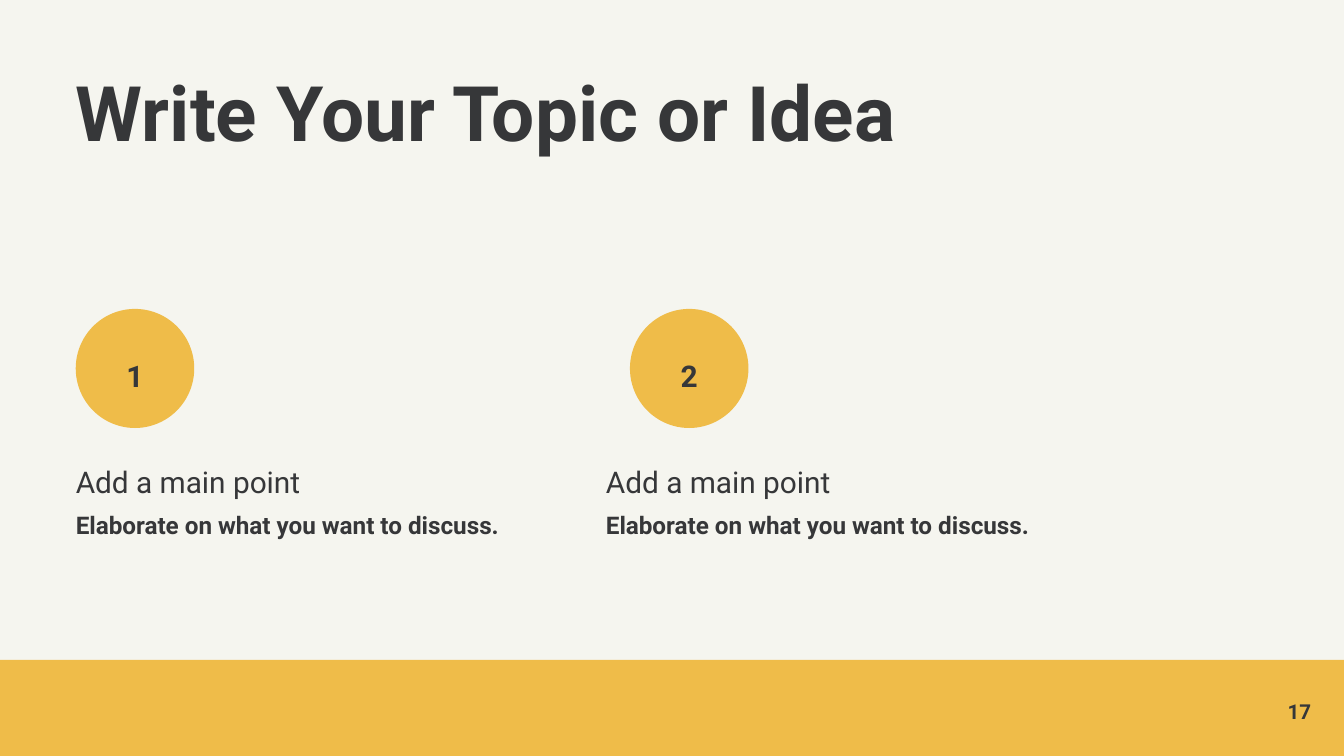
from pptx import Presentation
from pptx.dml.color import RGBColor
from pptx.enum.shapes import MSO_SHAPE as Shape
from pptx.enum.text import MSO_ANCHOR as Anchor, MSO_AUTO_SIZE as AutoSize, PP_ALIGN as Align
from pptx.util import Pt

INK, GOLD, PAPER = "363739", "EFBC49", "F5F5EF"
W, H = 720, 405
LEFT = 40.6


def color(value):
    return RGBColor.from_string(value)


def place(sp, box):
    for name, value in zip(("left", "top", "width", "height"), box):
        setattr(sp, name, Pt(value))


def write(sp, lines, align=Align.LEFT, spacing=1.0, anchor=Anchor.TOP):
    tf = sp.text_frame
    frame = dict(word_wrap=True, auto_size=AutoSize.NONE, vertical_anchor=anchor,
                 margin_left=0, margin_top=0, margin_right=0, margin_bottom=0)
    for name, value in frame.items():
        setattr(tf, name, value)
    for i, (text, size, bold) in enumerate(lines):
        p = tf.add_paragraph() if i else tf.paragraphs[0]
        for name, value in dict(alignment=align, line_spacing=spacing,
                                space_before=Pt(0), space_after=Pt(0)).items():
            setattr(p, name, value)
        r = p.add_run()
        r.text = text
        for name, value in dict(name="Roboto", size=Pt(size), bold=bold).items():
            setattr(r.font, name, value)
        r.font.color.rgb = color(INK)


def remove_bullets(tf):
    for p in tf.paragraphs:
        pPr = p._p.get_or_add_pPr()
        pPr.set("marL", "0")
        pPr.set("indent", "0")
        pPr.append(pPr.makeelement(
            "{http://schemas.openxmlformats.org/drawingml/2006/main}buNone", {}))


def add_block(s, kind, box):
    sp = s.shapes.add_shape(kind, *map(Pt, box))
    sp.shadow.inherit = False
    sp.fill.solid()
    sp.fill.fore_color.rgb = color(GOLD)
    sp.line.fill.background()


def add_title(sp, box):
    place(sp, box)
    write(sp, [("Write Your Topic or Idea", 41, True)], spacing=0.9)


def add_badge(s, box, number):
    x, y, w, h = box
    add_block(s, Shape.OVAL, box)
    tb = s.shapes.add_textbox(*map(Pt, (x + w / 2 - 15, y + 21.5, 30, 19.5)))
    write(tb, [(number, 16, True)], Align.CENTER, 1.25)


def add_point(sp, box):
    place(sp, box)
    write(sp, [("Add a main point", 16, False),
               ("Elaborate on what you want to discuss.", 13, True)], spacing=1.4)
    remove_bullets(sp.text_frame)


def add_footer(s, box, number):
    x, y, w, h = box
    add_block(s, Shape.RECTANGLE, box)
    tb = s.shapes.add_textbox(*map(Pt, (x + w - 60.5, y + 20.5, 43, 14.4)))
    write(tb, [(number, 11, True)], Align.RIGHT, anchor=Anchor.MIDDLE)


def main():
    prs = Presentation()
    prs.slide_width, prs.slide_height = Pt(W), Pt(H)
    s = prs.slides.add_slide(prs.slide_layouts[3])
    s.background.fill.solid()
    s.background.fill.fore_color.rgb = color(PAPER)

    add_title(s.shapes.title, (LEFT, 40.5, 510.5, 57))
    columns = [("1", LEFT, LEFT), ("2", 337.5, 324.6)]
    for i, (number, badge_x, text_x) in enumerate(columns, 1):
        add_badge(s, (badge_x, 165.5, 63.5, 63.8), number)
        add_point(s.placeholders[i], (text_x, 240.5, 249, 110))
    add_footer(s, (0, 353.5, W, H - 353.5), "17")
    prs.save("out.pptx")


if __name__ == "__main__":
    main()
